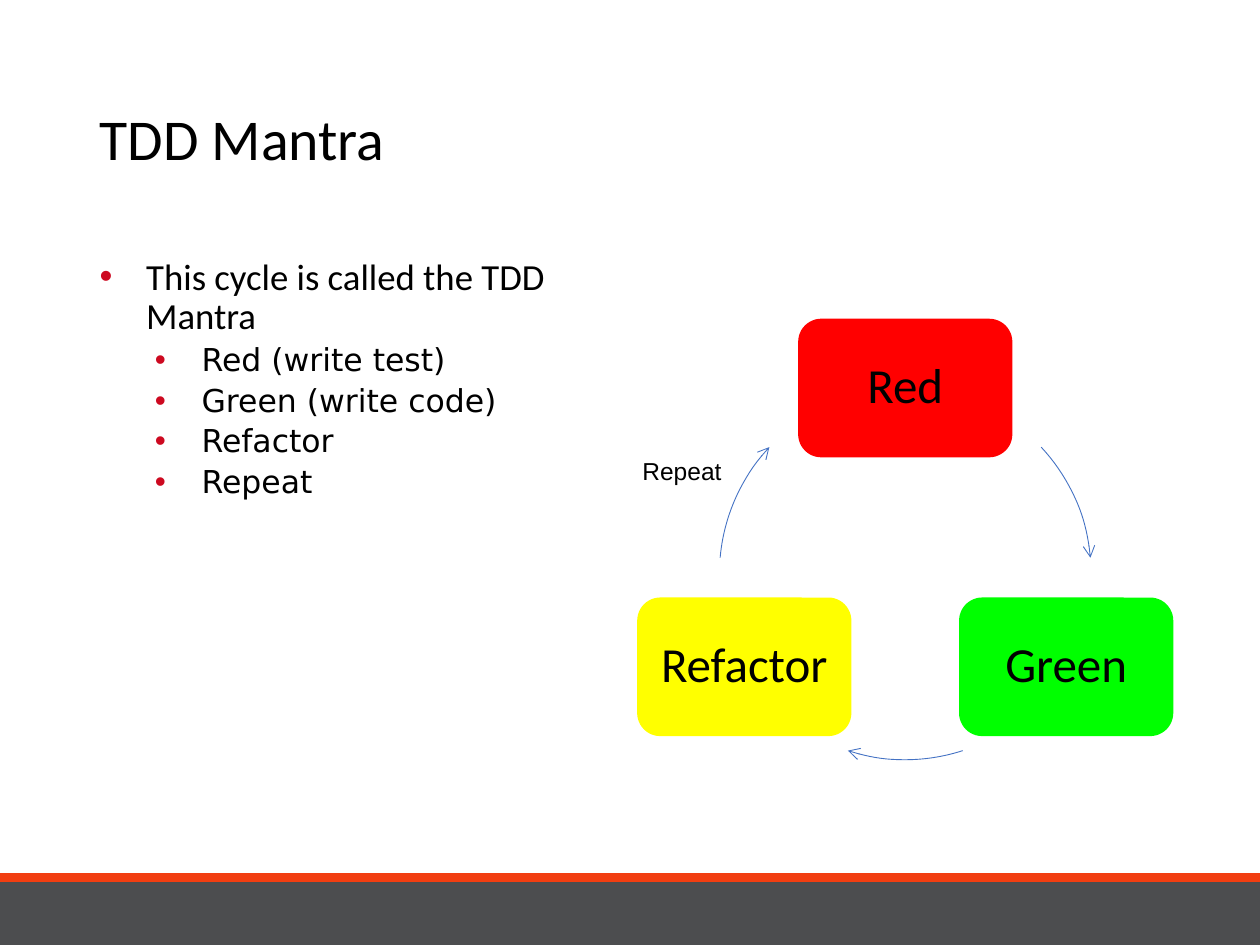
from dataclasses import dataclass
from math import cos, radians, sin

from lxml.etree import SubElement
from pptx import Presentation
from pptx.dml.color import RGBColor
from pptx.enum.shapes import MSO_SHAPE
from pptx.enum.text import MSO_ANCHOR, MSO_AUTO_SIZE, PP_ALIGN
from pptx.oxml.ns import qn
from pptx.util import Inches, Pt


@dataclass(frozen=True)
class Theme:
    ink: str = "000000"
    bar: str = "4C4D4F"
    strip: str = "F23E11"
    dot: str = "CD0920"
    arrow: str = "4472C4"
    red: str = "FF0000"
    green: str = "00FF00"
    yellow: str = "FFFF00"
    font: str = "Calibri"
    sub_font: str = "DejaVu Sans"
    note_font: str = "Arial"
    title: float = 33
    body: float = 21
    sub: float = 18
    step: float = 28
    note: float = 14


THEME = Theme()


def write(para, text, size, font=THEME.font, align=PP_ALIGN.LEFT,
          before=0, spacing=0.9):
    run = para.add_run()
    run.text = text
    run.font.size = Pt(size)
    run.font.name = font
    run.font.color.rgb = RGBColor.from_string(THEME.ink)
    para.alignment = align
    para.space_before = Pt(before)
    para.line_spacing = spacing


def bullet(para, left):
    props = para._p.get_or_add_pPr()
    props.set("marL", str(Inches(left)))
    props.set("indent", str(Inches(-0.37)))
    color = SubElement(props, qn("a:buClr"))
    SubElement(color, qn("a:srgbClr"), val=THEME.dot)
    SubElement(props, qn("a:buFont"), typeface="Arial")
    SubElement(props, qn("a:buChar"), char="•")


def place(shape, left, top, width, height):
    shape.left, shape.top = Inches(left), Inches(top)
    shape.width, shape.height = Inches(width), Inches(height)


def block(slide, kind, fill, left, top, width, height):
    """Add a filled shape without line or shadow."""
    shape = slide.shapes.add_shape(
        kind, Inches(left), Inches(top), Inches(width), Inches(height))
    shape.shadow.inherit = False
    shape.line.fill.background()
    shape.fill.solid()
    shape.fill.fore_color.rgb = RGBColor.from_string(fill)
    return shape


def footer(slide, left, top, width, height, edge=0.07):
    block(slide, MSO_SHAPE.RECTANGLE, THEME.bar,
          left, top + edge, width, height - edge)
    block(slide, MSO_SHAPE.RECTANGLE, THEME.strip, left, top, width, edge)


def heading(slide, text, *box):
    title = slide.shapes.title
    place(title, *box)
    frame = title.text_frame
    frame.auto_size = MSO_AUTO_SIZE.NONE
    frame.vertical_anchor = MSO_ANCHOR.MIDDLE
    write(frame.paragraphs[0], text, THEME.title)


def outline(slide, lead, items, *box):
    body = slide.placeholders[1]
    place(body, *box)
    frame = body.text_frame
    frame.auto_size = MSO_AUTO_SIZE.NONE
    first = frame.paragraphs[0]
    write(first, lead, THEME.body, before=7.5)
    bullet(first, 0.37)
    for item in items:
        para = frame.add_paragraph()
        para.level = 1
        write(para, item, THEME.sub, font=THEME.sub_font, before=3.8)
        bullet(para, 0.81)


def arc(slide, start, end, *box):
    """Add an arrow along the circle in box, angles clockwise from east."""
    shape = slide.shapes.add_shape(MSO_SHAPE.ARC, *map(Inches, box))
    shape.shadow.inherit = False
    shape.fill.background()
    # Angles are stored in 1/60000 degree, adjustments in 1/100000.
    shape.adjustments[0] = start * 0.6
    shape.adjustments[1] = end * 0.6
    shape.line.color.rgb = RGBColor.from_string(THEME.arrow)
    shape.line.width = Pt(0.5)
    SubElement(shape.line._get_or_add_ln(), qn("a:tailEnd"), type="arrow")


def cycle(slide, steps, arcs, left, top, size):
    """Space steps evenly on the circle in the square box, from the top."""
    wide, high, radius = 1.7, 1.1, size / 2
    for index, (text, fill) in enumerate(steps):
        angle = radians(360 * index / len(steps) - 90)
        x = left + radius * (1 + cos(angle))
        y = top + radius * (1 + sin(angle))
        card = block(slide, MSO_SHAPE.ROUNDED_RECTANGLE, fill,
                     x - wide / 2, y - high / 2, wide, high)
        frame = card.text_frame
        frame.word_wrap = True
        frame.vertical_anchor = MSO_ANCHOR.MIDDLE
        write(frame.paragraphs[0], text, THEME.step, align=PP_ALIGN.CENTER)
    for start, end in arcs:
        arc(slide, start, end, left, top, size, size)


def label(slide, text, *box):
    frame = slide.shapes.add_textbox(*map(Inches, box)).text_frame
    frame.word_wrap = True
    write(frame.paragraphs[0], text, THEME.note, font=THEME.note_font,
          spacing=1.0)


def main():
    deck = Presentation()
    deck.slide_width, deck.slide_height = Inches(10), Inches(7.5)
    slide = deck.slides.add_slide(deck.slide_layouts[1])
    footer(slide, 0, 6.93, 10, 0.57)
    heading(slide, "TDD Mantra", 0.69, 0.4, 8.62, 1.45)
    outline(slide, "This cycle is called the TDD Mantra",
            ["Red (write test)", "Green (write code)", "Refactor", "Repeat"],
            0.69, 2, 4.25, 4.76)
    cycle(slide,
          [("Red", THEME.red), ("Green", THEME.green),
           ("Refactor", THEME.yellow)],
          [(317, 355), (72, 108), (185, 223)],
          5.71, 3.08, 2.95)
    label(slide, "Repeat", 5, 3.57, 0.87, 0.34)
    deck.save("out.pptx")


if __name__ == "__main__":
    main()
